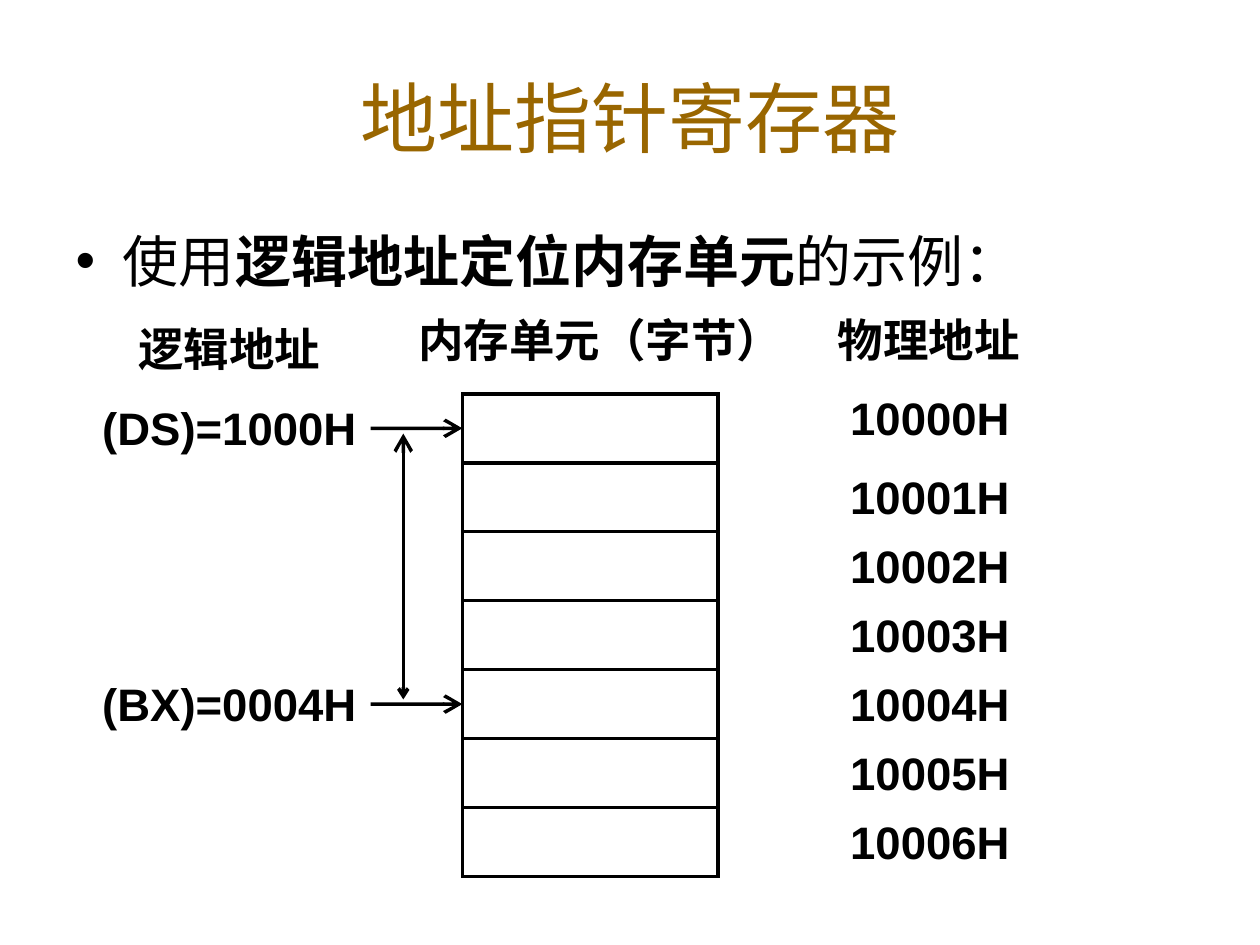
"""Build the slide on locating memory cells by logical address."""
from lxml.etree import SubElement
from pptx import Presentation
from pptx.dml.color import RGBColor
from pptx.enum.shapes import MSO_CONNECTOR as CONNECTOR, MSO_SHAPE as SHAPE
from pptx.enum.text import MSO_ANCHOR as ANCHOR, MSO_AUTO_SIZE as AUTOSIZE, PP_ALIGN as ALIGN
from pptx.oxml.ns import qn
from pptx.util import Cm, Pt

COLOURS = {"title": "996600", "ink": "000000"}
FORMATS = {
    "title": {"name": "Arial", "size": Pt(44), "bold": False},
    "body": {"name": "Arial", "size": Pt(32), "bold": False},
    "label": {"name": "Arial", "size": Pt(26), "bold": True},
}


def style(font, kind, colour="ink"):
    for attribute, value in FORMATS[kind].items():
        setattr(font, attribute, value)
    font.color.rgb = RGBColor.from_string(COLOURS[colour])


def add_arrow(start, end, ends):
    arrow = slide.shapes.add_connector(CONNECTOR.STRAIGHT, *map(Cm, start + end))
    arrow.line.color.rgb = RGBColor.from_string(COLOURS["ink"])
    arrow.line.width = Pt(2)
    for tag, size in ends.items():
        SubElement(arrow.line._ln, qn(tag), type="arrow", w=size, len=size)
    SubElement(arrow._element.spPr, qn("a:effectLst"))
    return arrow


deck = Presentation()
deck.slide_width, deck.slide_height = Cm(25.4), Cm(19.05)
slide = deck.slides.add_slide(deck.slide_layouts[1])

heading, example = slide.placeholders
for holder, top, height in ((heading, 0.76, 3.18), (example, 4.43, 2.31)):
    holder.left, holder.top = Cm(1.27), Cm(top)
    holder.width, holder.height = Cm(22.86), Cm(height)
    holder.text_frame.auto_size = AUTOSIZE.NONE

heading.text_frame.text = "地址指针寄存器"
heading.text_frame.vertical_anchor = ANCHOR.MIDDLE
heading.text_frame.paragraphs[0].alignment = ALIGN.CENTER
style(heading.text_frame.paragraphs[0].runs[0].font, "title", "title")

sentence = example.text_frame.paragraphs[0]
sentence.space_before = Pt(0)
for words, bold in (("使用", False), ("逻辑地址定位内存单元", True), ("的示例：", False)):
    part = sentence.add_run()
    part.text = words
    style(part.font, "body")
    part.font.bold = bold

memory_left, memory_top, cell_width, cell_height = 9.32, 7.94, 5.16, 1.39
row_tops = [memory_top + row * cell_height for row in range(7)]
memory = slide.shapes.add_group_shape()
cells = []
for top in row_tops:
    cell = memory.shapes.add_shape(
        SHAPE.RECTANGLE, Cm(memory_left), Cm(top), Cm(cell_width), Cm(cell_height))
    cell.shadow.inherit = False
    cell.fill.background()
    cell.line.color.rgb = RGBColor.from_string(COLOURS["ink"])
    cell.line.width = Pt(2)
    SubElement(cell.line._ln, qn("a:miter"), lim="800000")
    cells.append(cell)

pointers = {0: "(DS)=1000H", 4: "(BX)=0004H"}
labels = [
    ("逻辑地址", 2.54, 6.35, 4.25),
    ("内存单元（字节）", 8.18, 6.16, 7.9),
    ("物理地址", 16.64, 6.16, 4.25),
    ("10000H", 16.89, 7.74, 3.8),
]
labels += [(f"1000{row}H", 16.89, row_tops[row], 3.8) for row in range(1, 7)]
labels += [(words, 1.81, row_tops[row], 5.7) for row, words in pointers.items()]
for words, left, top, width in labels:
    label = slide.shapes.add_textbox(Cm(left), Cm(top), Cm(width), Cm(1.37))
    label.text_frame.word_wrap = False
    label.text_frame.auto_size = AUTOSIZE.SHAPE_TO_FIT_TEXT
    label.text_frame.text = words
    style(label.text_frame.paragraphs[0].runs[0].font, "label")

for row in pointers:
    middle = row_tops[row] + cell_height / 2
    pointer = add_arrow((7.47, middle), (memory_left, middle), {"a:tailEnd": "lg"})
    pointer.end_connect(cells[row], 1)

add_arrow((8.13, 14.1), (8.13, 8.74), {"a:headEnd": "med", "a:tailEnd": "lg"})

deck.save("out.pptx")
